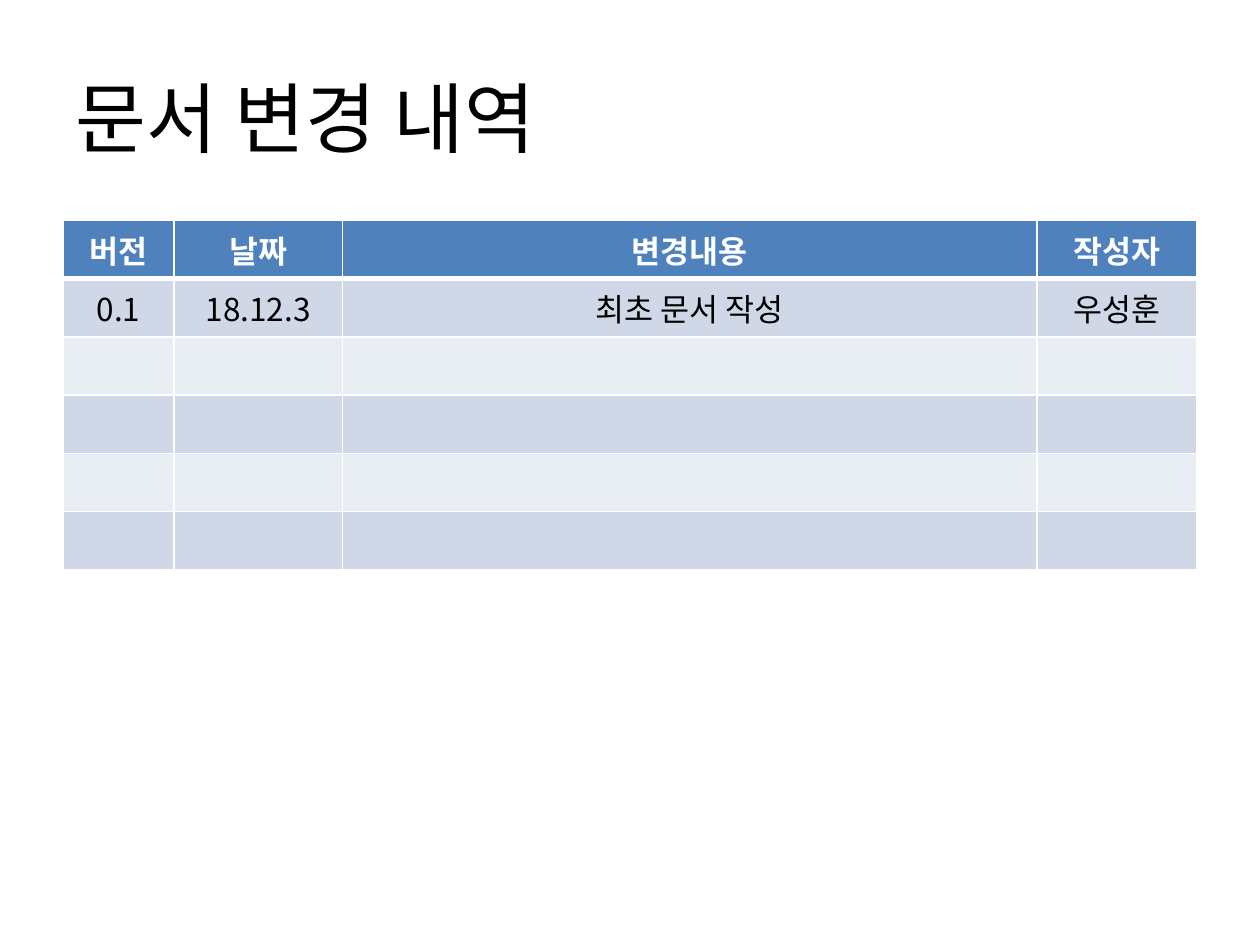
from dataclasses import dataclass

from lxml import etree
from pptx import Presentation
from pptx.dml.color import RGBColor
from pptx.enum.text import MSO_ANCHOR, PP_ALIGN
from pptx.oxml.ns import qn
from pptx.util import Inches, Pt

LEFT, CENTER = PP_ALIGN.LEFT, PP_ALIGN.CENTER
MIDDLE = MSO_ANCHOR.MIDDLE
TITLE_ONLY = 5


@dataclass(frozen=True)
class Theme:
    """Colours, font and type sizes of the slide."""

    font: str = "Noto Sans CJK KR"
    ink: str = "000000"
    paper: str = "FFFFFF"
    header: str = "4F81BD"
    bands: tuple = ("D0D8E8", "E9EDF4")
    title_size: int = 44
    body_size: int = 18


THEME = Theme()
SLIDE_WIDTH, SLIDE_HEIGHT = Inches(10), Inches(7.5)
MARGIN = 0.05
TITLE_BOX = (MARGIN, 0.04, 1 - 2 * MARGIN, 1 / 6)
TABLE_BOX = (MARGIN, 7 / 30, 1 - 2 * MARGIN, 0.324)
COLUMN_WEIGHTS = (0.88, 1.34, 5.51, 1.27)
ROW_COUNT = 6
HISTORY = (
    ("버전", "날짜", "변경내용", "작성자"),
    ("0.1", "18.12.3", "최초 문서 작성", "우성훈"),
)


def place(box):
    """Turn shares of the slide into left, top, width and height."""
    left, top, width, height = box
    return (
        round(left * SLIDE_WIDTH),
        round(top * SLIDE_HEIGHT),
        round(width * SLIDE_WIDTH),
        round(height * SLIDE_HEIGHT),
    )


def add_typefaces(properties):
    """Name the theme font for Latin and East Asian text."""
    for tag in ("a:latin", "a:ea"):
        for present in properties.findall(qn(tag)):
            properties.remove(present)
        etree.SubElement(properties, qn(tag), typeface=THEME.font)


def format_paragraph(paragraph, size, color, alignment, bold=False):
    """Format every run, or the paragraph end when there is no run."""
    paragraph.alignment = alignment
    for run in paragraph.runs:
        run.font.size = Pt(size)
        run.font.bold = bold
        run.font.color.rgb = RGBColor.from_string(color)
        add_typefaces(run.font._element)
    if not paragraph.runs:
        ending = etree.SubElement(paragraph._p, qn("a:endParaRPr"), sz=str(size * 100))
        add_typefaces(ending)


def add_borders(cell, bottom_width):
    """Draw white lines on the four sides of a cell."""
    properties = cell._tc.get_or_add_tcPr()
    for side, width in (("L", 1), ("R", 1), ("T", 1), ("B", bottom_width)):
        line = etree.SubElement(properties, qn(f"a:ln{side}"), w=str(Pt(width)))
        fill = etree.SubElement(line, qn("a:solidFill"))
        etree.SubElement(fill, qn("a:srgbClr"), val=THEME.paper)


def add_title(slide, box, text):
    """Place and format the title placeholder."""
    title = slide.shapes.title
    title.left, title.top, title.width, title.height = place(box)
    title.text_frame.text = text
    title.text_frame.vertical_anchor = MIDDLE
    format_paragraph(title.text_frame.paragraphs[0], THEME.title_size, THEME.ink, LEFT)


def format_cell(cell, row_index, text):
    """Fill one cell as a header or as part of a banded row."""
    is_header = row_index == 0
    cell.vertical_anchor = MIDDLE
    add_borders(cell, 3 if is_header else 1)
    color = THEME.header if is_header else THEME.bands[(row_index - 1) % 2]
    cell.fill.solid()
    cell.fill.fore_color.rgb = RGBColor.from_string(color)
    cell.text_frame.text = text
    format_paragraph(
        cell.text_frame.paragraphs[0],
        THEME.body_size,
        THEME.paper if is_header else THEME.ink,
        CENTER,
        bold=is_header,
    )


def add_history_table(slide, box, records):
    """Add the change history with blank rows after the records."""
    left, top, width, height = place(box)
    column_count = len(COLUMN_WEIGHTS)
    table = slide.shapes.add_table(
        ROW_COUNT, column_count, left, top, width, height
    ).table
    for column, weight in zip(table.columns, COLUMN_WEIGHTS):
        column.width = round(width * weight / sum(COLUMN_WEIGHTS))
    blank_rows = (("",) * column_count,) * (ROW_COUNT - len(records))
    for row_index, record in enumerate(records + blank_rows):
        for column_index, text in enumerate(record):
            format_cell(table.cell(row_index, column_index), row_index, text)


def main():
    """Build the document history slide."""
    presentation = Presentation()
    presentation.slide_width = SLIDE_WIDTH
    presentation.slide_height = SLIDE_HEIGHT
    slide = presentation.slides.add_slide(presentation.slide_layouts[TITLE_ONLY])
    add_title(slide, TITLE_BOX, "문서 변경 내역")
    add_history_table(slide, TABLE_BOX, HISTORY)
    presentation.save("out.pptx")


if __name__ == "__main__":
    main()
